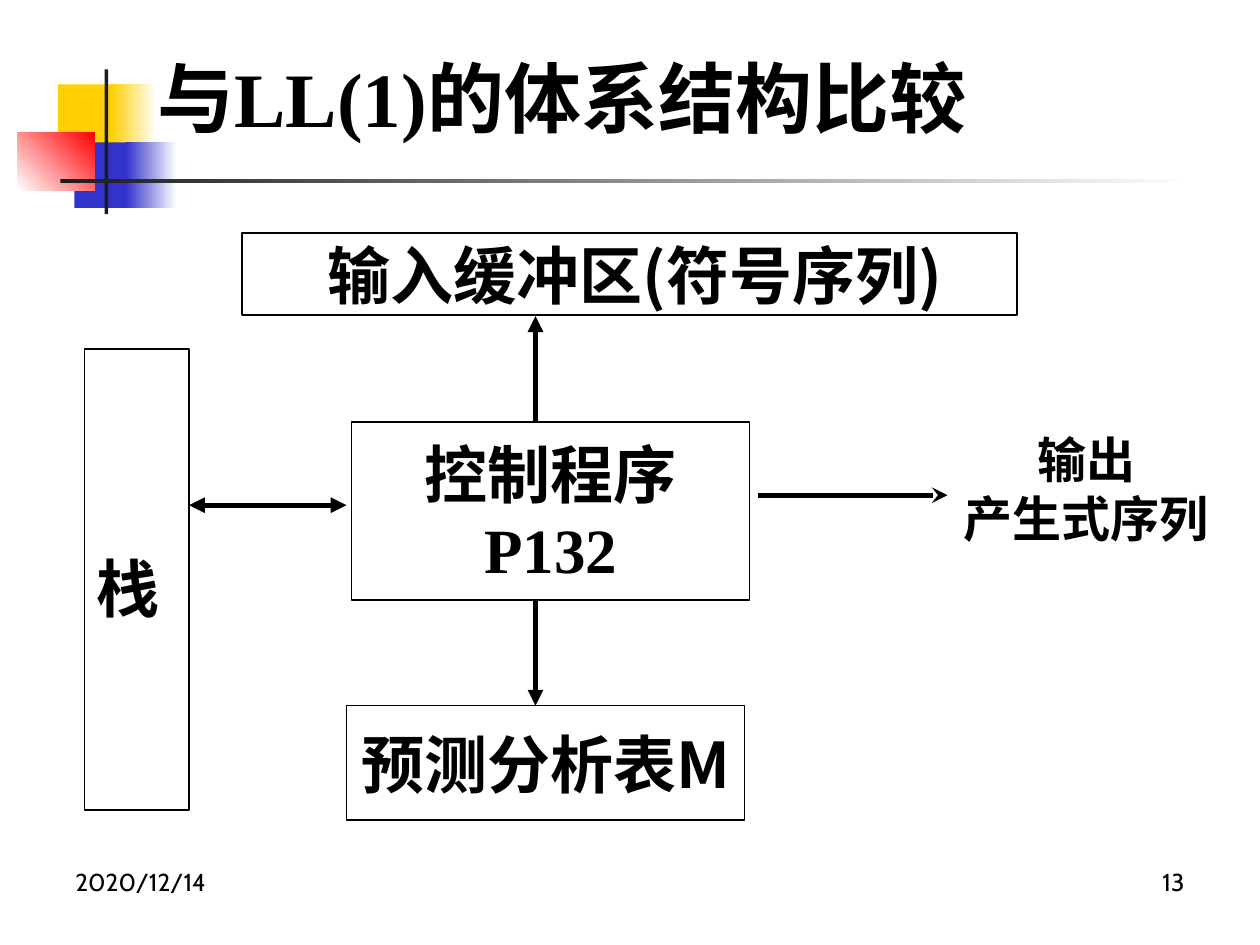
from dataclasses import dataclass

from lxml.etree import SubElement
from pptx import Presentation
from pptx.dml.color import RGBColor
from pptx.enum.shapes import MSO_CONNECTOR, MSO_SHAPE
from pptx.enum.text import MSO_ANCHOR, MSO_AUTO_SIZE, PP_ALIGN
from pptx.oxml.ns import qn
from pptx.util import Emu, Pt

PX = 9144


@dataclass(frozen=True)
class Theme:
    ink: str = "000000"
    bar: str = "1C1C1C"
    yellow: str = "FFCF01"
    blue: str = "3333CC"
    red: str = "FF0000"
    white: str = "FFFFFF"
    chinese: str = "Noto Sans CJK SC"
    serif: str = "Times New Roman"
    footer_font: str = "Cabin"
    title_size: int = 44
    box_size: int = 36
    output_size: int = 28
    footer_size: int = 14
    outline: int = 1
    arrow: int = 3


def set_values(target, values):
    for name, value in values.items():
        setattr(target, name, value)


def px(*lengths):
    return [Emu(length * PX) for length in lengths]


class SlideBuilder:
    def __init__(self, slide, theme):
        self.slide = slide
        self.theme = theme

    def set_text(self, shape, lines, size, fonts, bold=True, align=PP_ALIGN.CENTER,
                 anchor=MSO_ANCHOR.MIDDLE, wrap=False, left_inset=10, spacing=1.0):
        inset_left, inset_right, inset_top, inset_bottom = px(left_inset, 10, 5, 5)
        frame = shape.text_frame
        set_values(frame, {
            "auto_size": MSO_AUTO_SIZE.NONE, "word_wrap": wrap,
            "vertical_anchor": anchor,
            "margin_left": inset_left, "margin_right": inset_right,
            "margin_top": inset_top, "margin_bottom": inset_bottom,
        })
        frame.text = "\n".join(lines)
        for paragraph, font_name in zip(frame.paragraphs, fonts):
            set_values(paragraph, {"alignment": align, "line_spacing": spacing})
            for run in paragraph.runs:
                set_values(run.font, {"size": Pt(size), "bold": bold, "name": font_name})
                run.font.color.rgb = RGBColor.from_string(self.theme.ink)
                east_asian = SubElement(run.font._element, qn("a:ea"))
                east_asian.set("typeface", self.theme.chinese)

    def rectangle(self, bounds):
        shape = self.slide.shapes.add_shape(MSO_SHAPE.RECTANGLE, *px(*bounds))
        shape.shadow.inherit = False
        return shape

    def block(self, bounds, colours, angle=0):
        shape = self.rectangle(bounds)
        shape.line.fill.background()
        if len(colours) == 1:
            shape.fill.solid()
            shape.fill.fore_color.rgb = RGBColor.from_string(colours[0])
            return
        shape.fill.gradient()
        shape.fill.gradient_angle = angle
        for stop, colour in zip(shape.fill.gradient_stops, colours):
            stop.color.rgb = RGBColor.from_string(colour)

    def title(self, bounds, text):
        shape = self.slide.shapes.title
        set_values(shape, dict(zip(("left", "top", "width", "height"), px(*bounds))))
        self.set_text(shape, [text], self.theme.title_size, [self.theme.serif],
                      align=PP_ALIGN.LEFT, wrap=True)

    def box(self, bounds, lines, fonts, **layout):
        shape = self.rectangle(bounds)
        shape.fill.background()
        shape.line.color.rgb = RGBColor.from_string(self.theme.ink)
        shape.line.width = Pt(self.theme.outline)
        self.set_text(shape, lines, self.theme.box_size, fonts, **layout)

    def text(self, bounds, lines, size, font_name, **layout):
        shape = self.slide.shapes.add_textbox(*px(*bounds))
        self.set_text(shape, lines, size, [font_name] * len(lines),
                      anchor=MSO_ANCHOR.TOP, wrap=True, **layout)

    def arrow(self, start, end, **ends):
        connector = self.slide.shapes.add_connector(
            MSO_CONNECTOR.STRAIGHT, *px(*start, *end))
        connector.line.color.rgb = RGBColor.from_string(self.theme.ink)
        connector.line.width = Pt(self.theme.arrow)
        outline = connector.line._get_or_add_ln()
        for end_name in ("headEnd", "tailEnd"):
            if end_name in ends:
                SubElement(outline, qn(f"a:{end_name}")).set("type", ends[end_name])
        SubElement(connector._element.spPr, qn("a:effectLst"))


def main():
    presentation = Presentation()
    presentation.slide_width, presentation.slide_height = px(1000, 750)
    theme = Theme()
    slide = presentation.slides.add_slide(presentation.slide_layouts[5])
    builder = SlideBuilder(slide, theme)

    builder.block((46, 67, 48, 52), [theme.yellow])
    builder.block((88, 67, 36, 52), [theme.yellow, theme.white])
    builder.block((59, 113, 46, 52), [theme.blue])
    builder.block((100, 113, 40, 52), [theme.blue, theme.white])
    builder.block((14, 105, 61, 46), [theme.white, theme.red], angle=45)
    builder.block((83, 55, 3, 115), [theme.bar])
    builder.block((48, 142, 900, 3), [theme.bar, theme.white])

    builder.title((115, 36, 700, 82), "与LL(1)的体系结构比较")

    builder.box((192, 185, 615, 65), ["输入缓冲区(符号序列)"], [theme.chinese],
                left_inset=19)
    builder.box((67, 277, 83, 366), ["栈"], [theme.chinese],
                align=PP_ALIGN.LEFT, spacing=1.2)
    builder.box((279, 335, 316, 141), ["控制程序", "P132"],
                [theme.chinese, theme.serif])
    builder.box((275, 560, 316, 91), ["预测分析表M"], [theme.chinese])

    builder.arrow((425, 335), (425, 251), tailEnd="triangle")
    builder.arrow((275, 401), (150, 401), headEnd="triangle", tailEnd="triangle")
    builder.arrow((425, 560), (425, 476), headEnd="triangle")
    builder.arrow((602, 393), (752, 393), tailEnd="stealth")

    builder.text((744, 336, 236, 103), ["输出", "产生式序列"],
                 theme.output_size, theme.chinese)
    for left, words, align in ((50, "2020/12/14", PP_ALIGN.LEFT),
                               (717, "13", PP_ALIGN.RIGHT)):
        builder.text((left, 683, 233, 52), [words], theme.footer_size,
                     theme.footer_font, bold=False, align=align)

    presentation.save("out.pptx")


if __name__ == "__main__":
    main()
